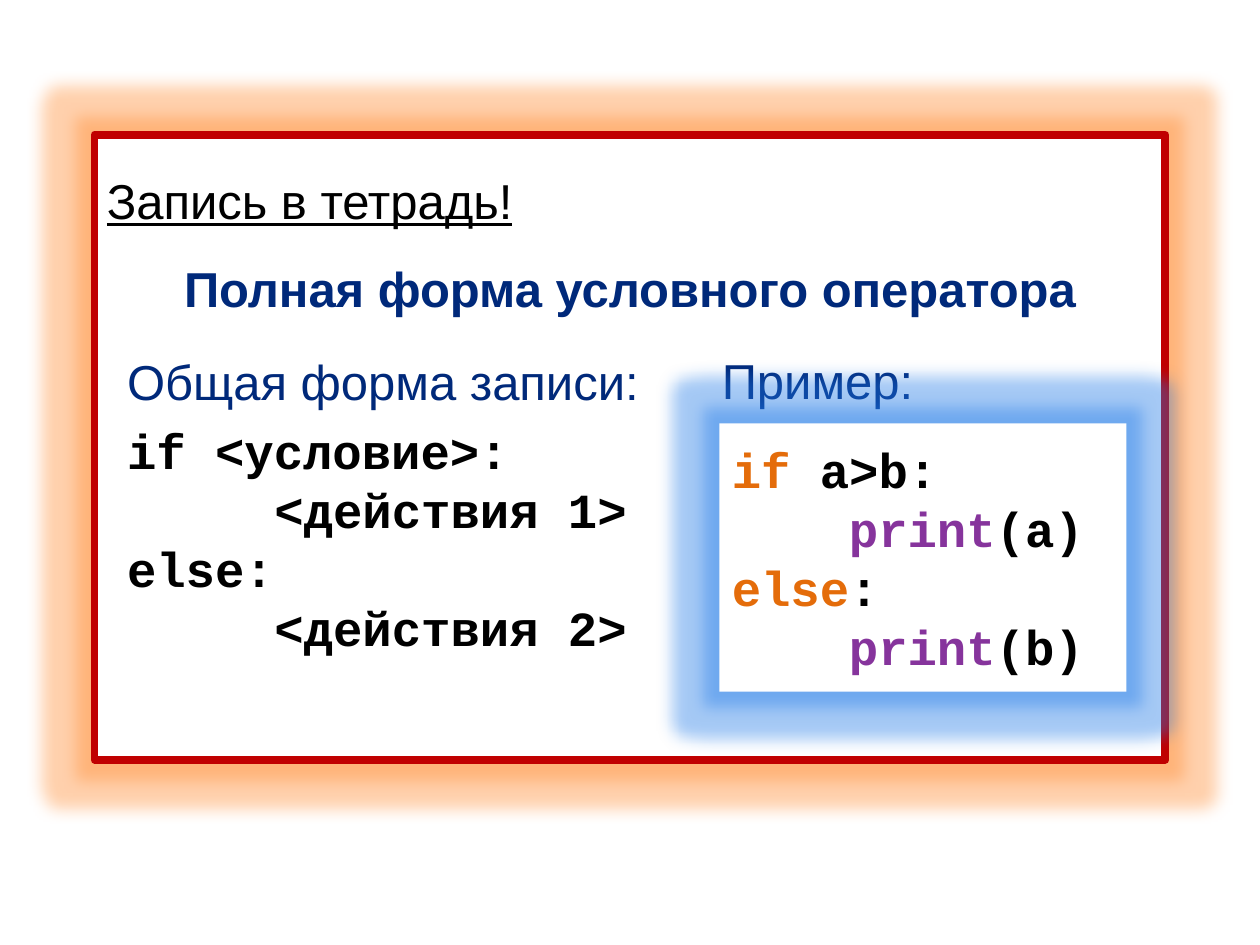
from dataclasses import dataclass

from lxml import etree
from pptx import Presentation
from pptx.dml.color import RGBColor
from pptx.enum.shapes import MSO_SHAPE
from pptx.enum.text import MSO_ANCHOR, MSO_AUTO_SIZE, PP_ALIGN
from pptx.oxml.ns import qn
from pptx.util import Inches, Pt

RECTANGLE = MSO_SHAPE.RECTANGLE
TOP, MIDDLE = MSO_ANCHOR.TOP, MSO_ANCHOR.MIDDLE
LEFT, CENTER = PP_ALIGN.LEFT, PP_ALIGN.CENTER
GROW = MSO_AUTO_SIZE.SHAPE_TO_FIT_TEXT


@dataclass(frozen=True)
class Theme:
    text_font: str = "Arial"
    code_font: str = "Courier New"
    size: int = 28
    glow_radius: int = 18
    border_width: float = 4.5
    white: str = "FFFFFF"
    black: str = "000000"
    navy: str = "00297A"
    border: str = "C00000"
    keyword: str = "E46C0A"
    function: str = "86349C"
    orange_glow: str = "FF8B30"
    blue_glow: str = "207AE8"


THEME = Theme()


def add_run(paragraph, text, color, font=THEME.text_font, bold=False, underline=False):
    run = paragraph.add_run()
    run.text = text
    run.font.name = font
    run.font.size = Pt(THEME.size)
    run.font.bold = bold
    run.font.underline = underline
    run.font.color.rgb = RGBColor.from_string(color)


def next_paragraph(frame):
    first = frame.paragraphs[0]
    paragraph = frame.add_paragraph() if first.runs else first
    paragraph.alignment = LEFT
    return paragraph


def add_code_line(frame, indent, *pieces):
    paragraph = next_paragraph(frame)
    properties = paragraph._p.get_or_add_pPr()
    properties.set("marL", str(Inches(indent)))
    properties.set("indent", "0")
    for text, color in pieces:
        add_run(paragraph, text, color, THEME.code_font, bold=True)


def add_glowing_box(slide, box, glow_color, anchor):
    shape = slide.shapes.add_shape(RECTANGLE, *map(Inches, box))
    shape.shadow.inherit = False
    shape.fill.solid()
    shape.fill.fore_color.rgb = RGBColor.from_string(THEME.white)
    shape.line.fill.background()
    effects = shape._element.spPr.find(qn("a:effectLst"))
    glow = etree.SubElement(effects, qn("a:glow"), rad=str(Pt(THEME.glow_radius)))
    color = etree.SubElement(glow, qn("a:srgbClr"), val=glow_color)
    etree.SubElement(color, qn("a:alpha"), val="40000")
    shape.text_frame.word_wrap = True
    shape.text_frame.vertical_anchor = anchor
    return shape


def add_text_box(slide, box, anchor):
    frame = slide.shapes.add_textbox(*map(Inches, box)).text_frame
    frame.word_wrap = True
    frame.auto_size = GROW
    frame.vertical_anchor = anchor
    return frame


def add_notebook_panel(slide, box):
    panel = add_glowing_box(slide, box, THEME.orange_glow, TOP)
    panel.line.color.rgb = RGBColor.from_string(THEME.border)
    panel.line.width = Pt(THEME.border_width)
    etree.SubElement(panel.line._get_or_add_ln(), qn("a:round"))
    note = next_paragraph(panel.text_frame)
    note.line_spacing = 1.5
    add_run(note, "Запись в тетрадь!", THEME.black, underline=True)
    heading = next_paragraph(panel.text_frame)
    heading.alignment = CENTER
    heading.line_spacing = 1.5
    add_run(heading, "Полная форма условного оператора", THEME.navy, bold=True)


def add_example_label(slide, box):
    frame = add_text_box(slide, box, TOP)
    add_run(next_paragraph(frame), "Пример:", THEME.navy)


def add_general_form(slide, box):
    frame = add_text_box(slide, box, MIDDLE)
    label = next_paragraph(frame)
    label.space_after = Pt(6)
    add_run(label, "Общая форма записи:", THEME.navy)
    for indent, text in (
        (0, "if <условие>:"),
        (1.17, "<действия 1>"),
        (0, "else:"),
        (1.17, "<действия 2>"),
    ):
        add_code_line(frame, indent, (text, THEME.black))


def add_example(slide, box):
    frame = add_glowing_box(slide, box, THEME.blue_glow, MIDDLE).text_frame
    for keyword, condition, argument in (("if", " a>b:", "(a)"), ("else", ":", "(b)")):
        add_code_line(frame, 0, (keyword, THEME.keyword), (condition, THEME.black))
        add_code_line(frame, 0.93, ("print", THEME.function), (argument, THEME.black))


def main():
    presentation = Presentation()
    presentation.slide_width = Inches(10)
    presentation.slide_height = Inches(7.5)
    slide = presentation.slides.add_slide(presentation.slide_layouts[6])
    add_notebook_panel(slide, (0.75, 1.07, 8.5, 4.96))
    add_example_label(slide, (5.63, 2.73, 1.89, 0.57))
    add_general_form(slide, (0.91, 2.73, 4.49, 2.54))
    add_example(slide, (5.71, 3.36, 3.23, 2.13))
    presentation.save("out.pptx")


if __name__ == "__main__":
    main()
